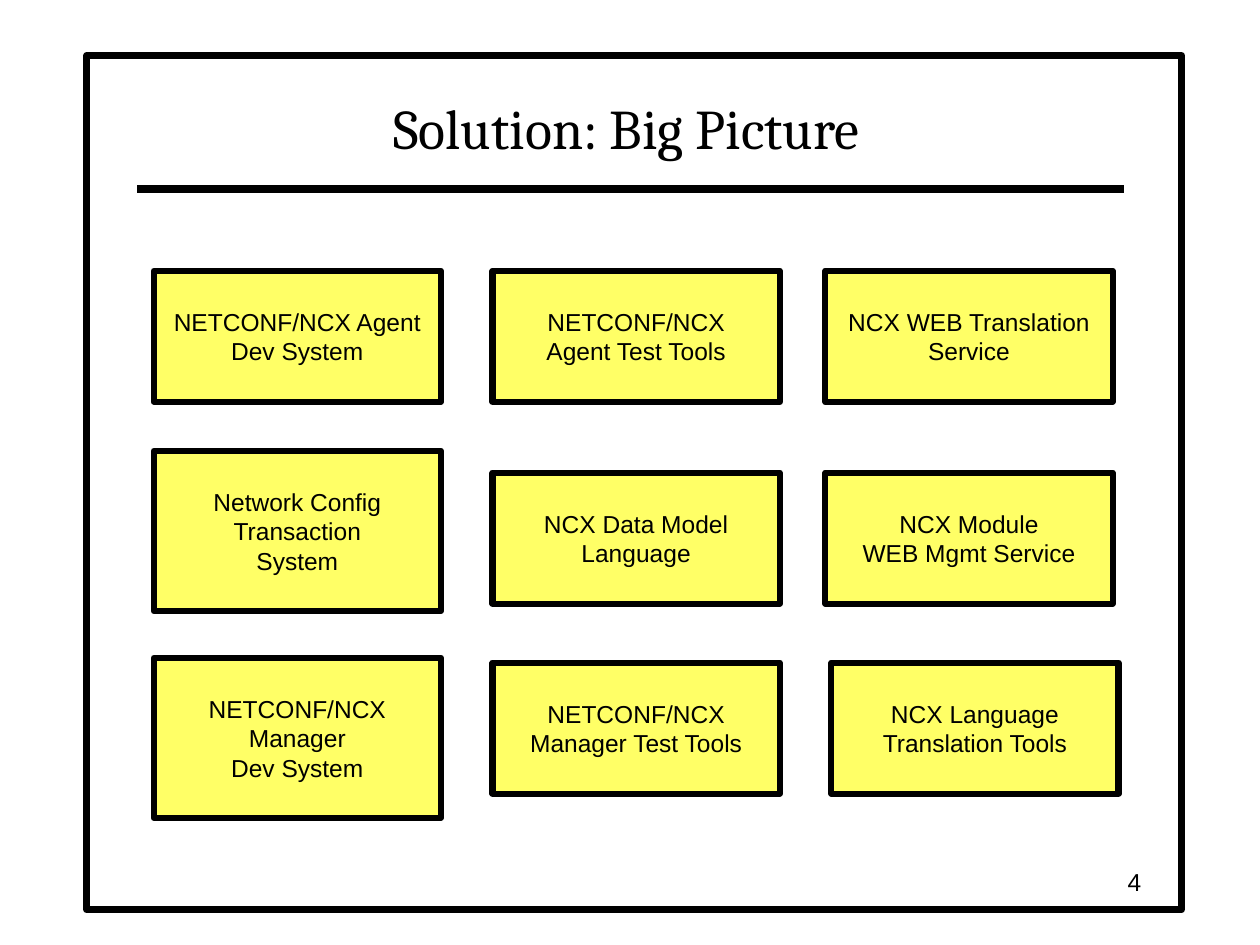
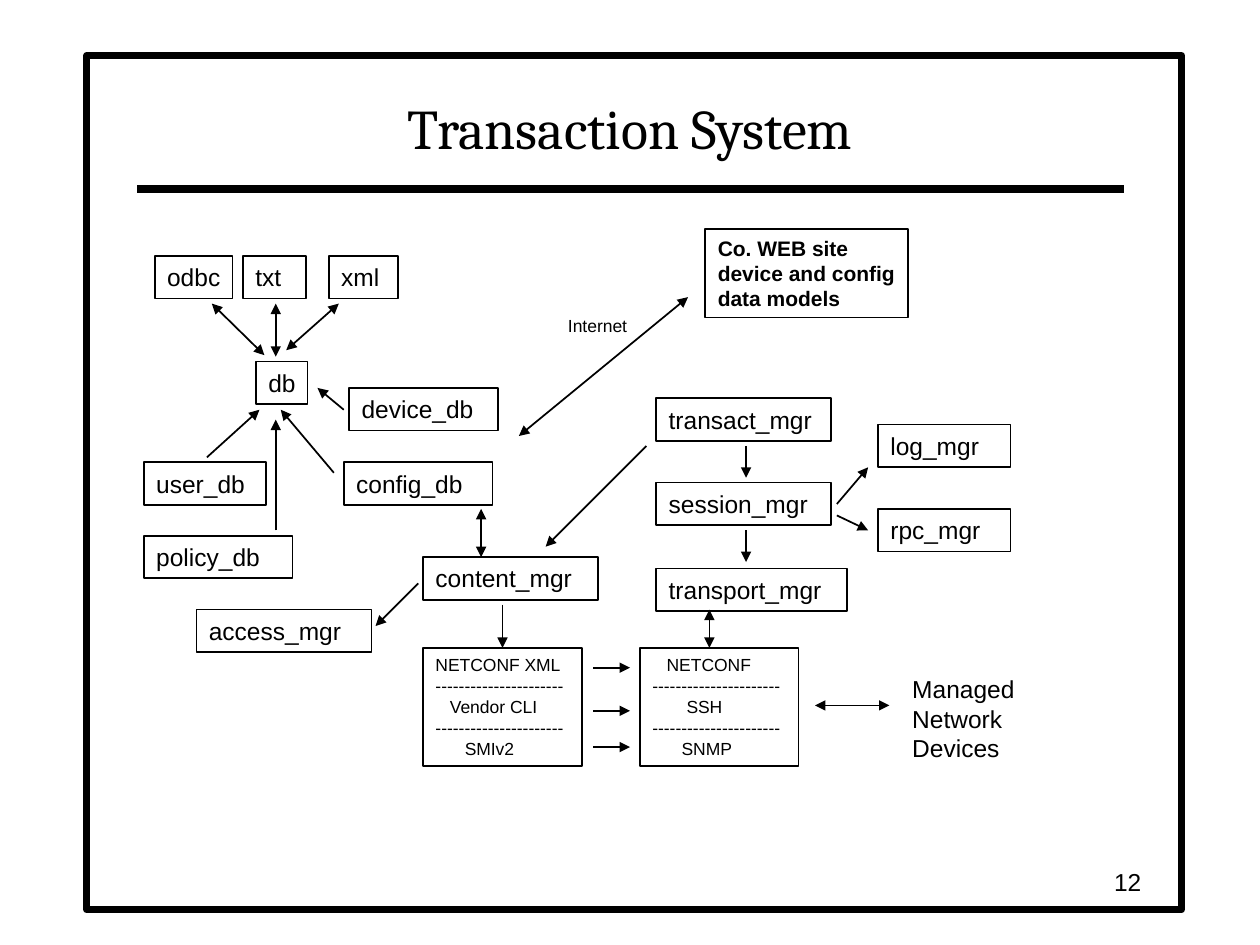
from itertools import zip_longest

from lxml import etree
from pptx import Presentation
from pptx import util as u
from pptx.dml.color import RGBColor
from pptx.enum import shapes, text
from pptx.oxml.ns import qn

COLORS = {"ink": "000000", "paper": "FFFFFF", "module": "FFFF66"}
BODY_FONT, TITLE_FONT = "Arial", "Cambria"

# All positions and sizes are in centimetres.
FRAME = (1.75, 1.12, 22.07, 17.22)
RULE = (2.77, 3.81, 22.66, 3.81)
TITLE_AREA = (2.74, 1.47, 19.79, 1.91)
NUMBER_AREA = (17.98, 17.35, 5.28, 0.84)

# Slide 1: text, left, top, height
LEFT, MIDDLE, RIGHT = 3.1, 9.93, 16.64
MODULE_WIDTH, SHORT, TALL = 5.79, 2.64, 3.23
MODULES = [
    ("NETCONF/NCX Agent\nDev System", LEFT, 5.46, SHORT),
    ("NETCONF/NCX\nAgent Test Tools", MIDDLE, 5.46, SHORT),
    ("NCX WEB Translation Service", RIGHT, 5.46, SHORT),
    ("Network Config Transaction\nSystem", LEFT, 9.09, TALL),
    ("NCX Data Model Language", MIDDLE, 9.53, SHORT),
    ("NCX Module\nWEB Mgmt Service", RIGHT, 9.53, SHORT),
    ("NETCONF/NCX Manager\nDev System", LEFT, 13.26, TALL),
    ("NETCONF/NCX\nManager Test Tools", MIDDLE, 13.36, SHORT),
    ("NCX Language\nTranslation Tools", RIGHT + 0.12, 13.36, SHORT),
]

# Slide 2: text, left, top, width
COMPONENT_HEIGHT = 0.86
COMPONENTS = [
    ("odbc", 3.12, 5.16, 1.57),
    ("txt", 4.9, 5.16, 1.27),
    ("xml", 6.63, 5.16, 1.4),
    ("db", 5.16, 7.29, 1.04),
    ("device_db", 7.04, 7.82, 3),
    ("user_db", 2.9, 9.32, 2.46),
    ("config_db", 6.93, 9.32, 3),
    ("policy_db", 2.9, 10.8, 3),
    ("content_mgr", 8.53, 11.23, 3.53),
    ("access_mgr", 3.96, 12.29, 3.53),
    ("transact_mgr", 13.23, 8.03, 3.53),
    ("session_mgr", 13.23, 9.73, 3.53),
    ("transport_mgr", 13.23, 11.46, 3.84),
    ("log_mgr", 17.7, 8.56, 2.67),
    ("rpc_mgr", 17.7, 10.26, 2.67),
]
WEB_SITE = ("Co. WEB site\ndevice and config\ndata models", (14.22, 4.62, 4.09, 1.78))
LABELS = [
    ("Managed\nNetwork\nDevices", (18.14, 13.46, 2.57, 2.03), 14),
    ("Internet", (11.2, 6.22, 1.7, 0.69), 10),
]

# Protocol stacks: left, then (layer, indent) from top to bottom
STACK_TOP, STACK_WIDTH, STACK_HEIGHT = 13.06, 3.2, 2.39
DIVIDER = "-" * 22
STACKS = [
    (8.53, [("NETCONF XML", 0), ("Vendor CLI", 0.29), ("SMIv2", 0.59)]),
    (12.9, [("NETCONF", 0.29), ("SSH", 0.69), ("SNMP", 0.59)]),
]

# Arrows: from x, from y, to x, to y
TWO_WAY = [
    (16.43, 14.22, 17.93, 14.22),  # transport and devices
    (13.87, 5.99, 10.46, 8.79),    # internet
    (5.56, 7.19, 5.56, 6.12),      # db and txt
    (5.33, 7.16, 4.27, 6.12),      # db and odbc
    (6.83, 6.12, 5.77, 7.06),      # db and xml
    (9.7, 10.26, 9.7, 11.23),      # config_db and content_mgr
    (14.3, 12.29, 14.3, 13.06),    # transport_mgr and its stack
]
ONE_WAY = [
    (4.17, 9.22, 5.23, 8.26),      # user_db to db
    (6.73, 9.53, 5.66, 8.26),      # config_db to db
    (6.93, 8.26, 6.4, 7.82),       # device_db to db
    (5.56, 10.69, 5.56, 8.46),     # policy_db to db
    (10.13, 12.19, 10.13, 13.06),  # content_mgr to its stack
    (15.04, 8.99, 15.04, 9.63),    # transact_mgr to session_mgr
    (15.04, 10.69, 15.04, 11.33),  # session_mgr to transport_mgr
    (13.03, 8.99, 11, 11.02),      # transact_mgr to content_mgr
    (16.87, 10.16, 17.5, 9.42),    # session_mgr to log_mgr
    (16.87, 10.39, 17.5, 10.69),   # session_mgr to rpc_mgr
    (8.43, 11.76, 7.57, 12.62),    # content_mgr to access_mgr
] + [(11.96, y, 12.7, y) for y in (13.46, 14.33, 15.06)]  # stack to stack


def color(name):
    return RGBColor.from_string(COLORS[name])


def cm(lengths):
    return [u.Cm(length) for length in lengths]


def write(holder, words, size=14, font=BODY_FONT, bold=False, indents=(),
          align=text.PP_ALIGN.LEFT, anchor=text.MSO_ANCHOR.TOP, right_inset=0.25):
    frame = holder.text_frame
    frame.text = words
    frame.word_wrap = True
    frame.auto_size = text.MSO_AUTO_SIZE.NONE
    frame.vertical_anchor = anchor
    frame.margin_left, frame.margin_right = cm((0.25, right_inset))
    frame.margin_top = frame.margin_bottom = u.Cm(0.13)
    for line, indent in zip_longest(frame.paragraphs, indents, fillvalue=0):
        line.alignment = align
        if indent:
            properties = line._p.get_or_add_pPr()
            properties.set("marL", str(u.Cm(indent)))
            properties.set("indent", "0")
        for run in line.runs:
            run.font.size = u.Pt(size)
            run.font.name = font
            run.font.bold = bold
            run.font.color.rgb = color("ink")


def add_box(slide, area, fill=None, weight=1):
    box = slide.shapes.add_shape(shapes.MSO_SHAPE.RECTANGLE, *cm(area))
    box.shadow.inherit = False
    if fill:
        box.fill.solid()
        box.fill.fore_color.rgb = color(fill)
    else:
        box.fill.background()
    box.line.color.rgb = color("ink")
    box.line.width = u.Pt(weight)
    return box


def add_line(slide, ends, weight=1, arrowheads=()):
    line = slide.shapes.add_connector(shapes.MSO_CONNECTOR.STRAIGHT, *cm(ends))
    line.line.color.rgb = color("ink")
    line.line.width = u.Pt(weight)
    outline = line.line._get_or_add_ln()
    for end in arrowheads:
        etree.SubElement(outline, qn(f"a:{end}"), type="triangle")
    etree.SubElement(line.element.spPr, qn("a:effectLst"))
    return line


def add_slide(deck, title, number, title_indent=0):
    slide = deck.slides.add_slide(deck.slide_layouts[5])
    heading = slide.shapes.title
    heading.left, heading.top, heading.width, heading.height = cm(TITLE_AREA)
    write(heading, title, size=32, font=TITLE_FONT, indents=[title_indent],
          align=text.PP_ALIGN.CENTER, anchor=text.MSO_ANCHOR.BOTTOM)
    page = slide.shapes.add_textbox(*cm(NUMBER_AREA))
    write(page, str(number), align=text.PP_ALIGN.RIGHT, anchor=text.MSO_ANCHOR.MIDDLE)
    return slide


def move_frame_to_layout(slide):
    """Give the shared layout the frame and the rule under the title."""
    layout = slide.slide_layout
    for placeholder in list(layout.placeholders)[1:]:
        layout.shapes.element.remove(placeholder.element)
    frame = add_box(slide, FRAME, fill="paper", weight=4)
    rule = add_line(slide, RULE, weight=4.5)
    for position, part in enumerate((frame, rule), start=2):
        layout.shapes.element.insert(position, part.element)


def fill_big_picture(slide):
    for words, left, top, height in MODULES:
        module = add_box(slide, (left, top, MODULE_WIDTH, height), "module", 3.5)
        write(module, words, align=text.PP_ALIGN.CENTER, anchor=text.MSO_ANCHOR.MIDDLE)


def fill_transaction_system(slide):
    # Components and the web site
    for words, left, top, width in COMPONENTS:
        component = add_box(slide, (left, top, width, COMPONENT_HEIGHT))
        write(component, words, right_inset=0)
    words, area = WEB_SITE
    write(add_box(slide, area), words, size=12, bold=True, right_inset=0)

    # Protocol stacks, with a divider between layers
    for left, layers in STACKS:
        stack = add_box(slide, (left, STACK_TOP, STACK_WIDTH, STACK_HEIGHT))
        words = f"\n{DIVIDER}\n".join(layer for layer, _ in layers)
        indents = [step for _, indent in layers for step in (indent, 0)][:-1]
        write(stack, words, size=10, indents=indents, right_inset=0)

    # Free labels
    for words, area, size in LABELS:
        write(slide.shapes.add_textbox(*cm(area)), words, size=size, right_inset=0)

    # Arrows
    for ends in TWO_WAY:
        add_line(slide, ends, arrowheads=("headEnd", "tailEnd"))
    for ends in ONE_WAY:
        add_line(slide, ends, arrowheads=("tailEnd",))


def main():
    deck = Presentation()
    deck.slide_width, deck.slide_height = cm((25.4, 19.05))
    big_picture = add_slide(deck, "Solution: Big Picture", 4)
    move_frame_to_layout(big_picture)
    fill_big_picture(big_picture)
    fill_transaction_system(add_slide(deck, "Transaction System", 12, title_indent=0.14))
    deck.save("out.pptx")


if __name__ == "__main__":
    main()
